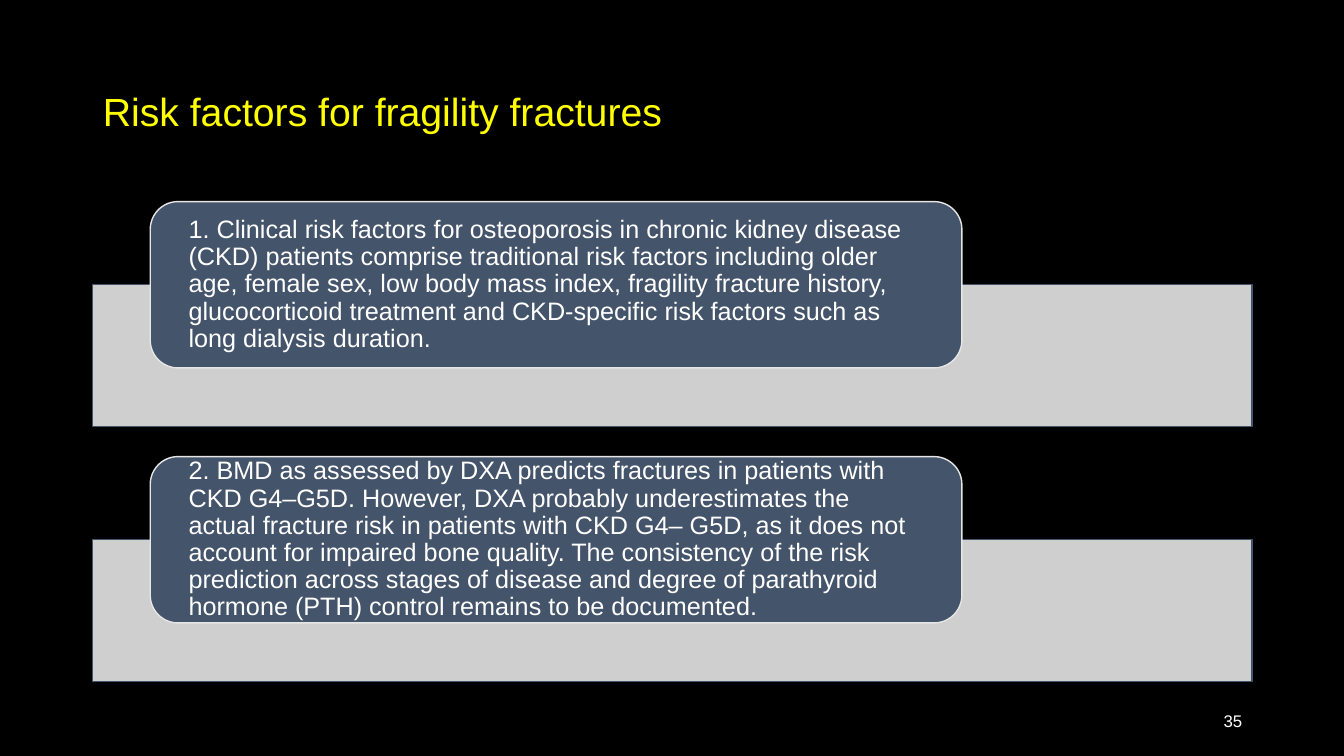
from lxml import etree
from pptx import Presentation
from pptx import util as u
from pptx.dml.color import RGBColor
from pptx.enum import shapes, text
from pptx.oxml.ns import qn

FINDINGS = [
    "1. Clinical risk factors for osteoporosis in chronic kidney disease (CKD) patients "
    "comprise traditional risk factors including older age, female sex, low body mass index, "
    "fragility fracture history, glucocorticoid treatment and CKD-specific risk factors such "
    "as long dialysis duration.",
    "2. BMD as assessed by DXA predicts fractures in patients with CKD G4–G5D. However, DXA "
    "probably underestimates the actual fracture risk in patients with CKD G4– G5D, as it does "
    "not account for impaired bone quality. The consistency of the risk prediction across "
    "stages of disease and degree of parathyroid hormone (PTH) control remains to be documented.",
]


def rgb(value):
    return RGBColor.from_string(value)


class Deck:
    font = "Arial"
    white, yellow, black = "FFFFFF", "FFFF00", "000000"
    slate, pale = "44546A", "E7E6E6"

    def __init__(self):
        self.prs = Presentation()
        self.prs.slide_width = u.Inches(13.33)
        self.prs.slide_height = u.Inches(7.5)
        self.s = self.prs.slides.add_slide(self.prs.slide_layouts[5])
        fill = self.s.background.fill
        fill.solid()
        fill.fore_color.rgb = rgb(self.black)

    def set_text(self, sp, words, size, color, align=text.PP_ALIGN.LEFT,
                 spacing=0.9, insets=(0.1, 0.05)):
        tf = sp.text_frame
        tf.word_wrap = True
        tf.auto_size = text.MSO_AUTO_SIZE.NONE
        tf.vertical_anchor = text.MSO_ANCHOR.MIDDLE
        tf.margin_left = tf.margin_right = u.Inches(insets[0])
        tf.margin_top = tf.margin_bottom = u.Inches(insets[1])
        tf.text = words
        p = tf.paragraphs[0]
        p.alignment = align
        p.line_spacing = spacing
        p.font.name = self.font
        p.font.size = u.Pt(size)
        p.font.color.rgb = rgb(color)

    def title(self, words, *box):
        sp = self.s.shapes.title
        sp.left, sp.top, sp.width, sp.height = map(u.Inches, box)
        self.set_text(sp, words, 28, self.yellow)

    def shape(self, kind, fill, line, *box):
        sp = self.s.shapes.add_shape(kind, *map(u.Inches, box))
        sp.shadow.inherit = False
        sp.fill.solid()
        sp.fill.fore_color.rgb = rgb(fill)
        sp.line.color.rgb = rgb(line)
        sp.line.width = u.Pt(1)
        return sp

    def band(self, *box):
        sp = self.shape(shapes.MSO_SHAPE.RECTANGLE, self.pale, self.slate, *box)
        color = sp.element.spPr.find(qn("a:solidFill"))[0]
        etree.SubElement(color, qn("a:alpha"), val="90000")

    def card(self, words, *box):
        sp = self.shape(shapes.MSO_SHAPE.ROUNDED_RECTANGLE, self.slate, self.pale, *box)
        self.set_text(sp, words, 18, self.white, insets=(0.3, 0))

    def page_number(self, number, *box):
        sp = self.s.shapes.add_textbox(*map(u.Inches, box))
        self.set_text(sp, str(number), 12, self.white, text.PP_ALIGN.RIGHT, 1.0)


def main():
    deck = Deck()
    deck.title("Risk factors for fragility fractures", 0.92, 0.4, 11.5, 1.45)
    for i, finding in enumerate(FINDINGS):
        top = 2 + i * 2.53
        deck.band(0.92, top + 0.82, 11.5, 1.41)
        deck.card(finding, 1.49, top, 8.05, 1.65)
    deck.page_number(35, 9.42, 6.95, 3, 0.4)
    deck.prs.save("out.pptx")


if __name__ == "__main__":
    main()
